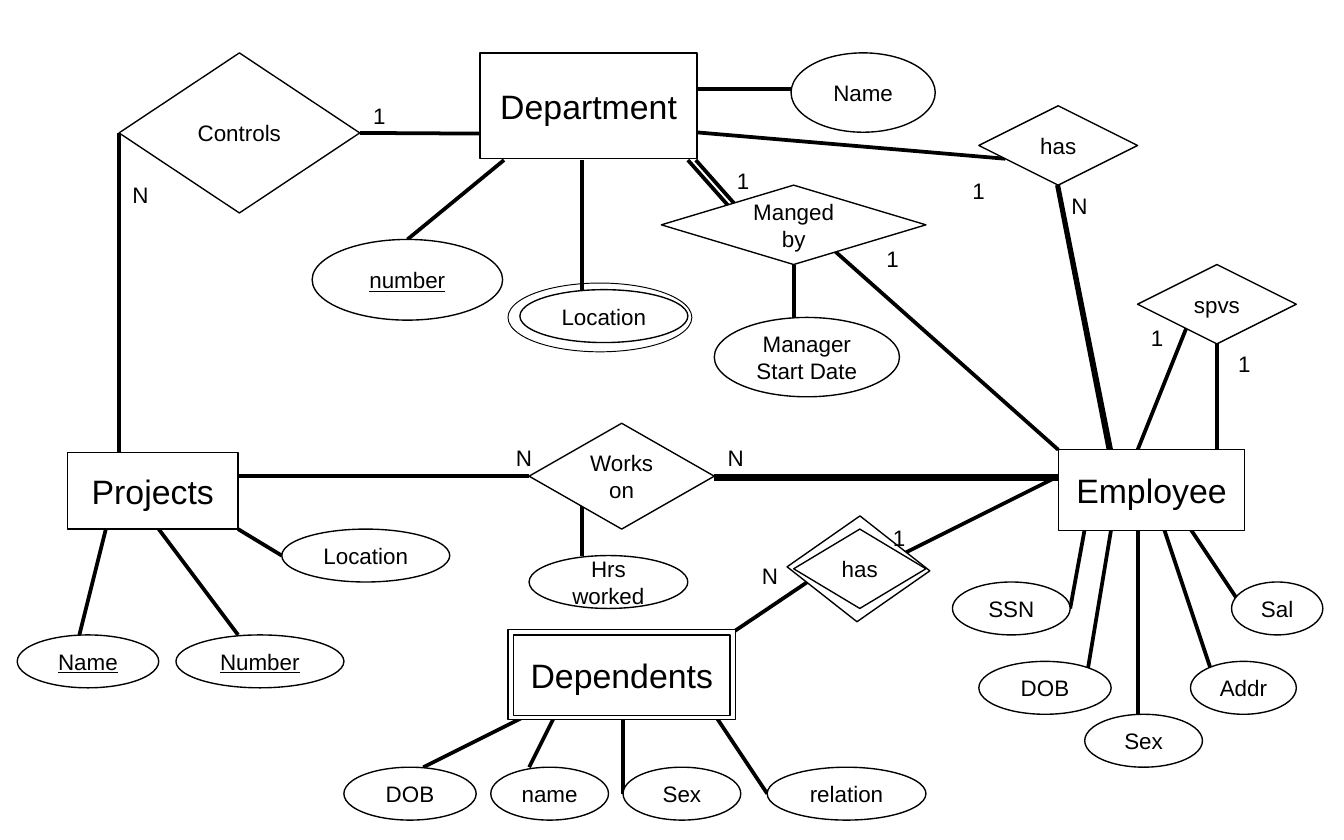
from lxml import etree
from pptx import Presentation
from pptx import util as u
from pptx.dml.color import RGBColor
from pptx.enum import shapes, text
from pptx.oxml.ns import qn

BLACK = RGBColor(0, 0, 0)
WHITE = RGBColor(255, 255, 255)
FONT = "Arial"
CELL = u.Cm(0.5)
TOP, LEFT, BOTTOM, RIGHT = range(4)
RECT = shapes.MSO_SHAPE.RECTANGLE
OVAL = shapes.MSO_SHAPE.OVAL
DIAMOND = shapes.MSO_SHAPE.DIAMOND

LOCATION_RING = (OVAL, 19.2, 10.7, 6.95, 2.6)
DEPENDENTS_FRAME = (RECT, 19.2, 23.8, 8.6, 3.4)
WEAK_HAS_FRAME = (DIAMOND, 29.75, 19.5, 5.4, 4)

ENTITIES = {
    "department": ("Department", 18.15, 2, 8.2, 4),
    "employee": ("Employee", 40, 17, 7.05, 3.05),
    "projects": ("Projects", 2.55, 17.1, 6.45, 2.9),
    "dependents": ("Dependents", 19.4, 24, 8.2, 3.05),
}
RELATIONSHIPS = {
    "controls": ("Controls", 4.5, 2, 9.1, 6.05),
    "has employee": ("has", 37, 4, 6, 3),
    "managed by": ("Manged by", 25, 7, 10, 3),
    "supervises": ("spvs", 43, 10, 6, 3),
    "works on": ("Works on", 20, 16, 7, 4),
    "has dependent": ("has", 30, 20, 5, 3),
}
ATTRIBUTES = {
    "department number": ("number", 11.8, 9.05, 7.2, 3.05),
    "department name": ("Name", 29.9, 2, 5.45, 3),
    "department location": ("Location", 19.65, 10.95, 6.35, 2),
    "start date": ("Manager Start Date", 27, 12, 7, 3),
    "hours": ("Hrs worked", 20, 21, 6, 2),
    "project name": ("Name", 0.65, 24, 5.35, 2),
    "project number": ("Number", 6.65, 24, 6.35, 2),
    "project location": ("Location", 10.65, 20, 6.35, 2),
    "employee ssn": ("SSN", 36, 22, 4.45, 2),
    "employee birth": ("DOB", 37, 25, 5, 2),
    "employee sex": ("Sex", 41, 27, 4.45, 2),
    "employee address": ("Addr", 45, 25, 4, 2),
    "employee salary": ("Sal", 46.55, 22, 3.45, 2),
    "dependent birth": ("DOB", 13, 29, 5, 2),
    "dependent name": ("name", 18.55, 29, 4.45, 2),
    "dependent sex": ("Sex", 23.55, 29, 4.45, 2),
    "dependent relation": ("relation", 29, 29, 6, 2),
}
KEYS = {"department number", "project name", "project number"}

LINKS = [
    (("controls", LEFT), (4.5, 17.1)),
    (("controls", RIGHT), (18.15, 5.05)),
    (("department number", TOP), (19.05, 6.05)),
    ((22, 6.05), (22, 11)),
    ((26.3, 3.35), (29.9, 3.35)),
    ((26.3, 5), (38, 6)),
    ((26, 6.05), (28.7, 9.1)),
    ((26.3, 6.05), (29, 9.1)),
    (("managed by", BOTTOM), (30, 12)),
    ((31, 9), (40, 17)),
    (("has employee", BOTTOM), (42, 17)),
    ((39.95, 7), (41.9, 17)),
    ((45, 12), (43, 17)),
    (("supervises", BOTTOM), (46, 17)),
    (("works on", LEFT), (9, 18)),
    (("works on", RIGHT), (40, 18)),
    ((27, 18.1), (40, 18.1)),
    ((22, 19), (22, 21)),
    ((40, 18), (34, 21)),
    ((32, 21), (27.55, 24)),
    ((4, 20), (3, 24)),
    ((6, 20), (9, 24)),
    (("project location", LEFT), (9, 20)),
    (("employee ssn", RIGHT), (41, 20)),
    ((42, 20), (41, 26)),
    ((43, 20), (43, 27)),
    ((44, 20), (46, 26)),
    ((45, 20), (47, 23)),
    ((20, 27), (16, 29)),
    ((21, 27), (20, 29)),
    (("dependent sex", LEFT), (23.55, 27)),
    (("dependent relation", LEFT), (27, 27)),
]
CARDINALITIES = [
    ("1", 13.6, 3.6), ("N", 4.5, 6.6), ("1", 27.35, 6.05), ("1", 33, 9),
    ("1", 36.25, 6.45), ("N", 40, 7), ("1", 43, 12), ("1", 46.3, 13),
    ("N", 19, 16.55), ("N", 27, 16.55), ("1", 33.25, 19.55), ("N", 28.3, 21),
]


def cells(*counts):
    return [round(count * CELL) for count in counts]


def write(box, words, size, underline=None):
    frame = box.text_frame
    frame.text = words
    span = frame.paragraphs[0].runs[0]
    span.font.name = FONT
    span.font.size = u.Pt(size)
    span.font.color.rgb = BLACK
    span.font.underline = underline
    return frame


def add_outline(page, kind, *place):
    shape = page.shapes.add_shape(kind, *cells(*place))
    shape.shadow.inherit = False
    shape.fill.solid()
    shape.fill.fore_color.rgb = WHITE
    shape.line.color.rgb = BLACK
    shape.line.width = 0
    return shape


def add_node(page, kind, words, place, size, underline=None):
    shape = add_outline(page, kind, *place)
    frame = write(shape, words, size, underline)
    frame.word_wrap = True
    frame.vertical_anchor = text.MSO_ANCHOR.MIDDLE
    frame.paragraphs[0].alignment = text.PP_ALIGN.CENTER
    return shape


def add_line(page, start, end):
    line = page.shapes.add_connector(shapes.MSO_CONNECTOR.STRAIGHT, *cells(*start, *end))
    line.line.color.rgb = BLACK
    line.line.width = 0
    etree.SubElement(line._element.spPr, qn("a:effectLst"))
    return line


def main():
    deck = Presentation()
    deck.slide_width, deck.slide_height = u.Inches(10), u.Inches(6.25)
    page = deck.slides.add_slide(deck.slide_layouts[6])

    ring = add_outline(page, *LOCATION_RING)
    ring.line.width = u.Pt(0.5)

    joints = []
    for start, end in LINKS:
        joined = isinstance(start[0], str)
        line = add_line(page, end if joined else start, end)
        if joined:
            joints.append((line, *start))

    add_outline(page, *DEPENDENTS_FRAME)
    add_outline(page, *WEAK_HAS_FRAME).rotation = 1.6

    nodes = {}
    for kind, group, size in ((RECT, ENTITIES, 18.1), (OVAL, ATTRIBUTES, 12),
                              (DIAMOND, RELATIONSHIPS, 12)):
        for name, (words, *place) in group.items():
            underline = True if name in KEYS else None
            nodes[name] = add_node(page, kind, words, place, size, underline)

    for line, name, side in joints:
        node = nodes[name]
        line.begin_connect(node, side)
        if name in ATTRIBUTES:
            line._element.nvCxnSpPr.cNvCxnSpPr.stCxn.idx = side * 2

    for words, column, row in CARDINALITIES:
        box = page.shapes.add_textbox(*cells(column, row, 1.75, 1.5))
        write(box, words, 12).word_wrap = True

    deck.save("out.pptx")


if __name__ == "__main__":
    main()
